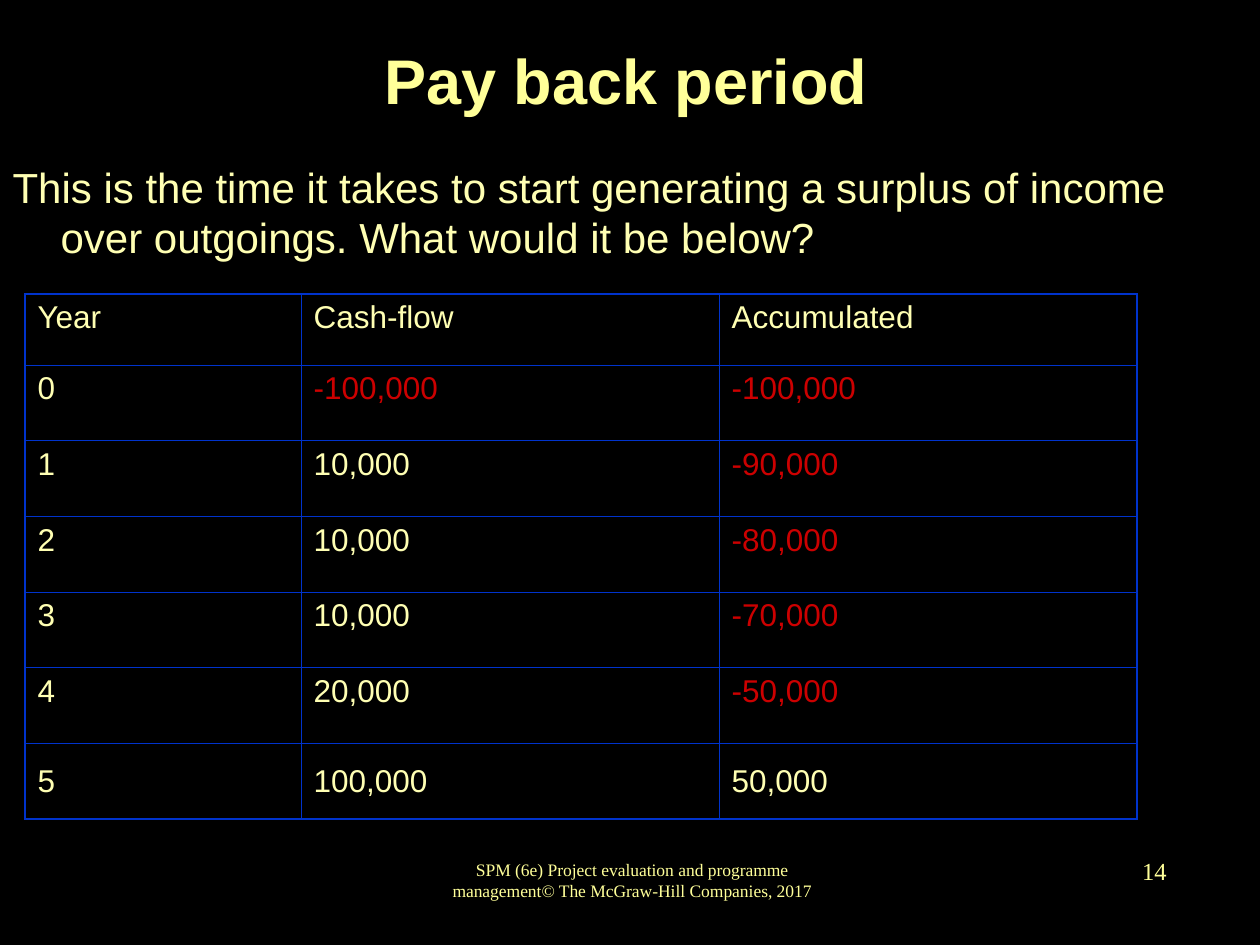
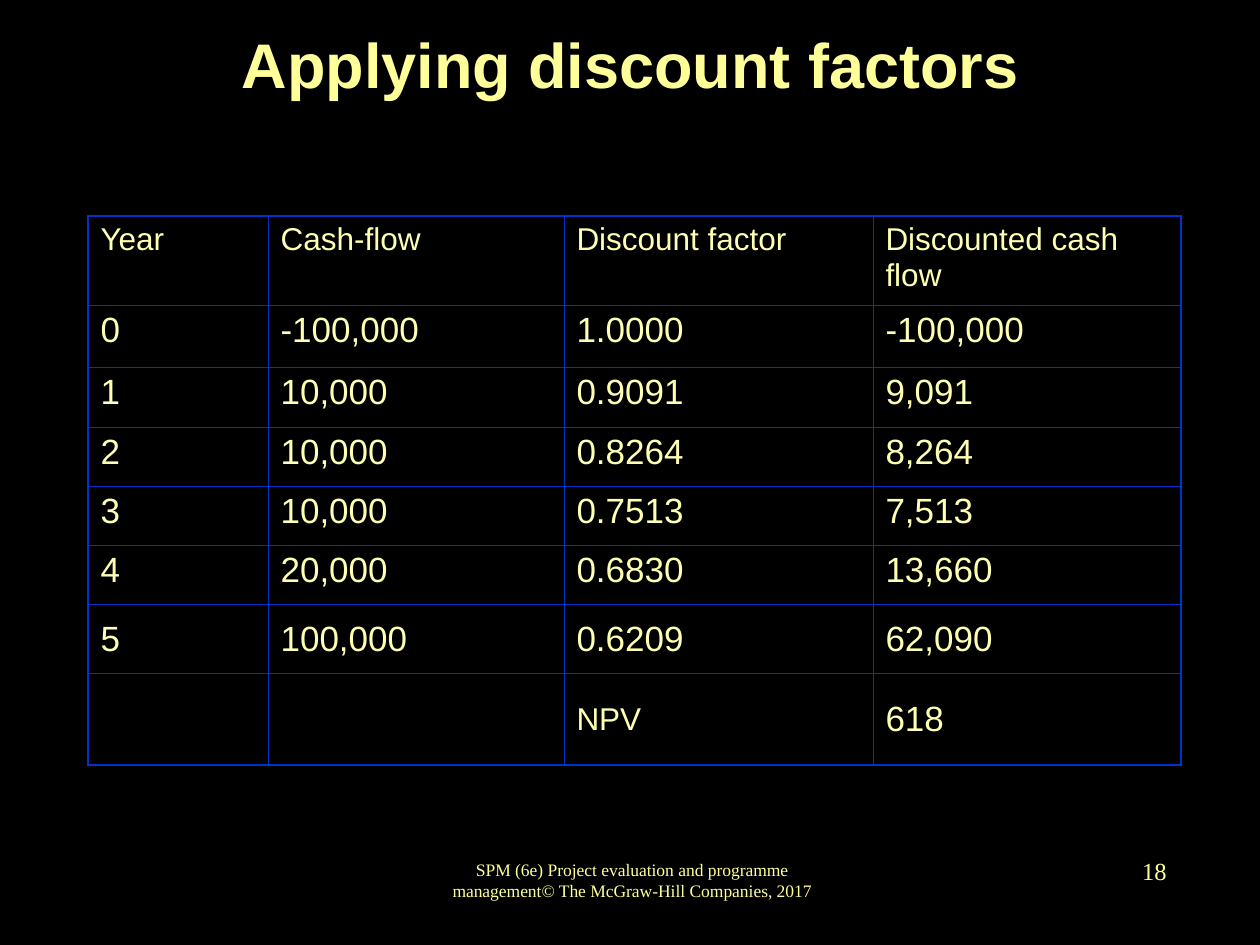
from dataclasses import dataclass

from lxml.etree import SubElement
from pptx import Presentation
from pptx.dml.color import RGBColor
from pptx.enum.text import MSO_ANCHOR as ANCHOR, MSO_AUTO_SIZE as AUTOSIZE, PP_ALIGN as ALIGN
from pptx.oxml.ns import qn
from pptx.util import Emu, Pt

EMU_PER_PX = 914400 / 126


@dataclass(frozen=True)
class Theme:
    background: str = "000000"
    heading: str = "FFFF99"
    text: str = "FFFFB3"
    negative: str = "CC0000"
    border: str = "0033CC"
    sans: str = "Arial"
    serif: str = "Times New Roman"
    title_size: int = 36
    body_size: int = 24
    figure_size: int = 20
    table_size: int = 18
    page_size: int = 14
    footer_size: int = 10
    outer_line: float = 1.08
    inner_line: float = 0.45


THEME = Theme()
FOOTER = "SPM (6e) Project evaluation and programme management© The McGraw-Hill Companies, 2017"
FOOTER_BOX = (432, 849, 400, 63)
PAGE_BOX = (917, 839, 262, 63)

PAYBACK_ROWS = [
    ("Year", "Cash-flow", "Accumulated"),
    ("0", "-100,000", "-100,000"),
    ("1", "10,000", "-90,000"),
    ("2", "10,000", "-80,000"),
    ("3", "10,000", "-70,000"),
    ("4", "20,000", "-50,000"),
    ("5", "100,000", "50,000"),
]
DISCOUNT_ROWS = [
    ("Year", "Cash-flow", "Discount factor", "Discounted cash flow"),
    ("0", "-100,000", "1.0000", "-100,000"),
    ("1", "10,000", "0.9091", "9,091"),
    ("2", "10,000", "0.8264", "8,264"),
    ("3", "10,000", "0.7513", "7,513"),
    ("4", "20,000", "0.6830", "13,660"),
    ("5", "100,000", "0.6209", "62,090"),
    ("", "", "NPV", "618"),
]


def px(length):
    return Emu(round(length * EMU_PER_PX))


def rgb(color):
    return RGBColor.from_string(color)


def place(shape, box):
    shape.left, shape.top, shape.width, shape.height = map(px, box)


def write(frame, text, *, size, color=THEME.text, font=THEME.sans, bold=False,
          align=ALIGN.LEFT, hanging=0):
    paragraph = frame.paragraphs[0]
    if hanging:
        properties = paragraph._p.get_or_add_pPr()
        properties.set("marL", str(px(hanging)))
        properties.set("indent", str(-px(hanging)))
        SubElement(properties, qn("a:buNone"))
    paragraph.alignment = align
    paragraph.space_before = Pt(0)
    run = paragraph.add_run()
    run.text = text
    run.font.name = font
    run.font.size = Pt(size)
    run.font.bold = bold
    run.font.color.rgb = rgb(color)


def add_title(slide, text, box):
    title = slide.shapes.title
    place(title, box)
    frame = title.text_frame
    frame.auto_size = AUTOSIZE.NONE
    frame.vertical_anchor = ANCHOR.MIDDLE
    write(frame, text, size=THEME.title_size, color=THEME.heading, bold=True,
          align=ALIGN.CENTER)


def add_body(slide, text, box):
    body = slide.placeholders[1]
    place(body, box)
    body.text_frame.auto_size = AUTOSIZE.NONE
    write(body.text_frame, text, size=THEME.body_size, hanging=48)


def add_footer(slide, page):
    for text, box, size, align in (
        (FOOTER, FOOTER_BOX, THEME.footer_size, ALIGN.CENTER),
        (page, PAGE_BOX, THEME.page_size, ALIGN.RIGHT),
    ):
        frame = slide.shapes.add_textbox(*map(px, box)).text_frame
        frame.word_wrap = False
        frame.vertical_anchor = ANCHOR.MIDDLE
        write(frame, text, size=size, color=THEME.heading, font=THEME.serif, align=align)


def draw_borders(cell, outer_sides):
    properties = cell._tc.get_or_add_tcPr()
    for side in "LRTB":
        width = THEME.outer_line if side in outer_sides else THEME.inner_line
        line = SubElement(properties, qn(f"a:ln{side}"), w=str(Pt(width)))
        fill = SubElement(line, qn("a:solidFill"))
        SubElement(fill, qn("a:srgbClr"), val=THEME.border)


def add_cash_table(slide, rows, left, top, widths, heights, *, figure_size=THEME.table_size,
                   middle_from, mark_negative=False):
    """Rows from index middle_from on are centred vertically."""
    box = (left, top, sum(widths), sum(heights))
    table = slide.shapes.add_table(len(rows), len(widths), *map(px, box)).table
    table.first_row = table.horz_banding = False
    for column, width in zip(table.columns, widths):
        column.width = px(width)
    for r, (values, height) in enumerate(zip(rows, heights)):
        table.rows[r].height = px(height)
        for c, value in enumerate(values):
            cell = table.cell(r, c)
            edges = {"T": r == 0, "B": r == len(rows) - 1,
                     "L": c == 0, "R": c == len(widths) - 1}
            draw_borders(cell, [side for side, outer in edges.items() if outer])
            cell.fill.solid()
            cell.fill.fore_color.rgb = rgb(THEME.background)
            cell.vertical_anchor = ANCHOR.MIDDLE if r >= middle_from else ANCHOR.TOP
            if value:
                negative = mark_negative and value.startswith("-")
                write(cell.text_frame, value,
                      size=figure_size if value[-1].isdigit() else THEME.table_size,
                      color=THEME.negative if negative else THEME.text)


def build_payback(prs):
    slide = prs.slides.add_slide(prs.slide_layouts[1])
    add_footer(slide, "14")
    add_title(slide, "Pay back period", (59, 0, 1134, 158))
    add_body(slide, "This is the time it takes to start generating a surplus of income "
                    "over outgoings. What would it be below?", (0, 155, 1216, 624))
    header, total = 71, 525
    year_rows = len(PAYBACK_ROWS) - 1
    heights = [header] + [(total - header) / year_rows] * year_rows
    add_cash_table(slide, PAYBACK_ROWS, 25, 294, [276, 418, 418], heights,
                   middle_from=6, mark_negative=True)


def build_discount(prs):
    slide = prs.slides.add_slide(prs.slide_layouts[5])
    add_footer(slide, "18")
    add_title(slide, "Applying discount factors", (95, 0, 1071, 127))
    add_cash_table(slide, DISCOUNT_ROWS, 88, 216, [180, 296, 309, 308],
                   [89, 62, 60, 59, 59, 60, 69, 91],
                   figure_size=THEME.figure_size, middle_from=6)


def main():
    prs = Presentation()
    prs.slide_width, prs.slide_height = px(1260), px(945)
    backdrop = prs.slide_master.background.fill
    backdrop.solid()
    backdrop.fore_color.rgb = rgb(THEME.background)
    build_payback(prs)
    build_discount(prs)
    prs.save("out.pptx")


if __name__ == "__main__":
    main()
